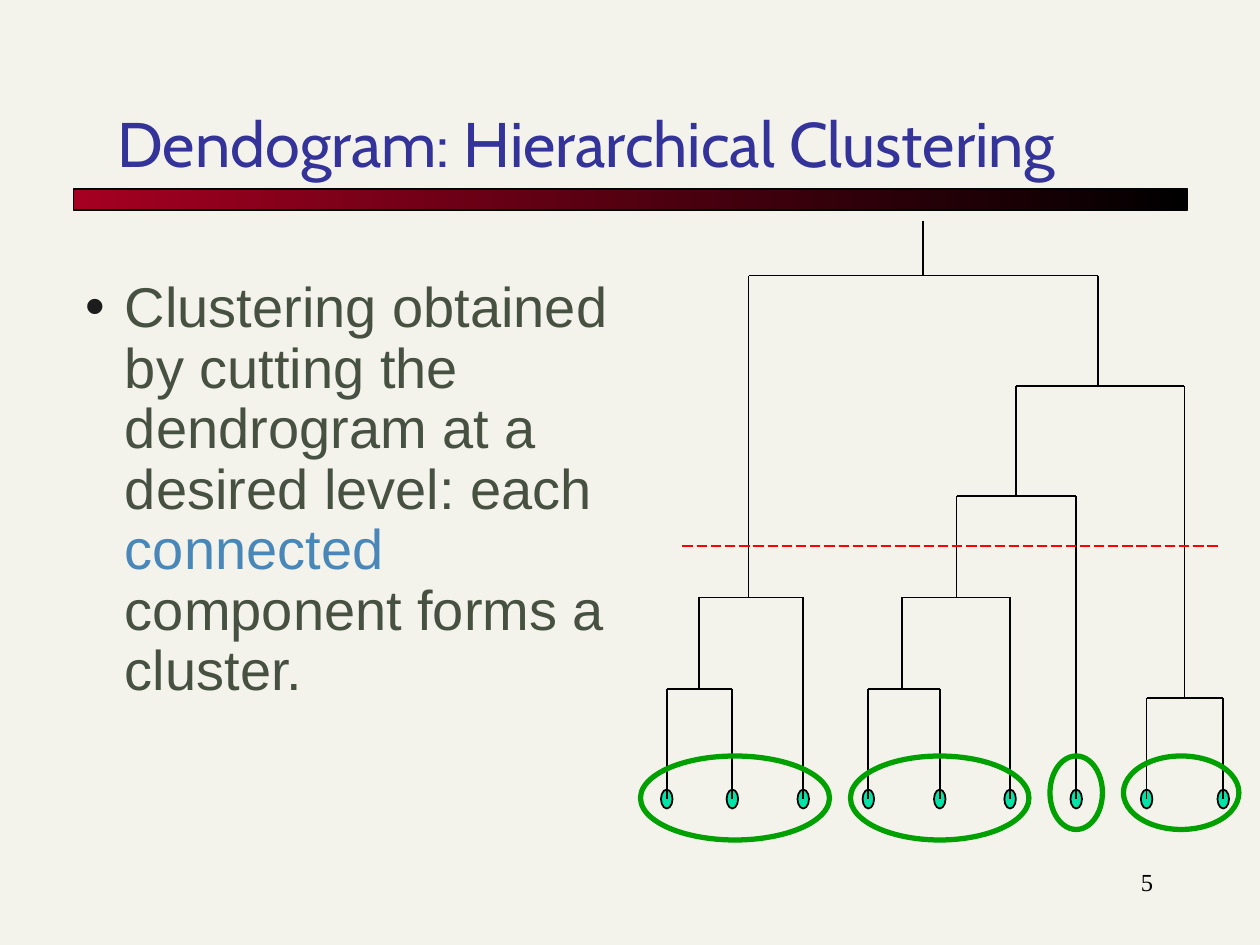
from dataclasses import dataclass
from typing import Optional, Union

from lxml.etree import SubElement
from pptx import Presentation
from pptx.dml.color import RGBColor
from pptx.enum.dml import MSO_LINE
from pptx.enum.shapes import MSO_CONNECTOR, MSO_SHAPE
from pptx.enum.text import MSO_ANCHOR, MSO_AUTO_SIZE, PP_ALIGN
from pptx.oxml.ns import qn
from pptx.util import Emu, Inches, Pt

PAPER = RGBColor(0xF4, 0xF3, 0xEB)
BLACK = RGBColor(0, 0, 0)
CRIMSON = RGBColor(0xA5, 0x00, 0x21)
MINT = RGBColor(0x00, 0xE4, 0xA8)
GREEN = RGBColor(0x00, 0xA0, 0x00)
RED = RGBColor(0xFF, 0, 0)
INDIGO = RGBColor(0x33, 0x33, 0x99)
MOSS = RGBColor(0x46, 0x51, 0x42)
SKY = RGBColor(0x4A, 0x87, 0xB9)

COLUMNS, ROWS = 120, 90
WIDTH, HEIGHT = Inches(10), Inches(7.5)
LEAF_ROW = 76.1


@dataclass(frozen=True)
class Area:
    column: float
    row: float
    columns: float
    rows: float

    def box(self) -> tuple:
        return (across(self.column), down(self.row),
                across(self.columns), down(self.rows))


@dataclass(frozen=True)
class Leaf:
    column: float
    row: float = LEAF_ROW


@dataclass(frozen=True)
class Merge:
    column: float
    row: float
    left: Union["Merge", Leaf]
    right: Union["Merge", Leaf]


TRIPLE_A = Merge(71.3, 56.9, Merge(66.6, 65.6, Leaf(63.5), Leaf(69.75)), Leaf(76.5))
TRIPLE_B = Merge(85.9, 56.9, Merge(85.9, 65.6, Leaf(82.7), Leaf(89.5)), Leaf(96.2))
PAIR = Merge(112.8, 66.5, Leaf(109.2), Leaf(116.5))
WITH_SINGLE = Merge(96.75, 47.25, Merge(91.1, 56.9, TRIPLE_B.left, TRIPLE_B.right),
                    Leaf(102.5))
ROOT = Merge(87.9, 26.25, TRIPLE_A, Merge(104.55, 36.75, WITH_SINGLE, PAIR))
CLUSTERS = [Area(61, 72, 18, 8), Area(81, 72, 17, 8),
            Area(100, 72, 5, 7), Area(107, 72, 11, 7)]


def across(columns: float) -> Emu:
    return Emu(round(WIDTH * columns / COLUMNS))


def down(rows: float) -> Emu:
    return Emu(round(HEIGHT * rows / ROWS))


def add_outline(slide, kind, area: Area, color: RGBColor, weight: float,
                fill: Optional[RGBColor] = None):
    shape = slide.shapes.add_shape(kind, *area.box())
    shape.shadow.inherit = False
    shape.line.color.rgb = color
    shape.line.width = Pt(weight)
    if fill is None:
        shape.fill.background()
    else:
        shape.fill.solid()
        shape.fill.fore_color.rgb = fill
    return shape


def add_line(slide, start: tuple, end: tuple, color: RGBColor = BLACK,
             weight: float = 1):
    line = slide.shapes.add_connector(
        MSO_CONNECTOR.STRAIGHT, across(start[0]), down(start[1]),
        across(end[0]), down(end[1]))
    line.line.color.rgb = color
    line.line.width = Pt(weight)
    SubElement(line._element.spPr, qn("a:effectLst"))
    return line


def leaves(node: Union[Merge, Leaf]) -> list:
    if isinstance(node, Leaf):
        return [node]
    return leaves(node.left) + leaves(node.right)


def draw_branches(slide, node: Union[Merge, Leaf]) -> None:
    if isinstance(node, Leaf):
        return
    add_line(slide, (node.left.column, node.row), (node.right.column, node.row))
    for child in (node.left, node.right):
        add_line(slide, (child.column, node.row), (child.column, child.row))
        draw_branches(slide, child)


def draw_dendrogram(slide) -> None:
    for leaf in leaves(ROOT):
        dot = Area(leaf.column - 0.55, leaf.row - 0.9, 1.1, 1.8)
        add_outline(slide, MSO_SHAPE.OVAL, dot, BLACK, 1, MINT)
    add_line(slide, (ROOT.column, 21), (ROOT.column, ROOT.row))
    draw_branches(slide, ROOT)
    cut = add_line(slide, (65, 52), (116, 52), RED, 0.75)
    cut.line.dash_style = MSO_LINE.LONG_DASH
    for cluster in CLUSTERS:
        add_outline(slide, MSO_SHAPE.OVAL, cluster, GREEN, 3)


def add_run(paragraph, words: str, font: str, size: float, color: RGBColor) -> None:
    run = paragraph.add_run()
    run.text = words
    run.font.name = font
    run.font.size = Pt(size)
    run.font.color.rgb = color


def add_paragraph_box(slide, area: Area):
    frame = slide.shapes.add_textbox(*area.box()).text_frame
    frame.word_wrap = True
    return frame.paragraphs[0]


def add_bullet(paragraph) -> None:
    properties = paragraph._p.get_or_add_pPr()
    properties.set("marL", str(Inches(0.81)))
    properties.set("indent", str(Inches(-0.31)))
    bullet_color = SubElement(properties, qn("a:buClr"))
    SubElement(bullet_color, qn("a:srgbClr")).set("val", "1C1C1C")
    SubElement(properties, qn("a:buFont")).set("typeface", "Arial")
    SubElement(properties, qn("a:buChar")).set("char", "•")


def fill_title(title) -> None:
    title.left, title.top, title.width, title.height = Area(10, 9.6, 103, 8).box()
    frame = title.text_frame
    frame.auto_size = MSO_AUTO_SIZE.NONE
    frame.vertical_anchor = MSO_ANCHOR.MIDDLE
    heading = frame.paragraphs[0]
    heading.alignment = PP_ALIGN.LEFT
    add_run(heading, "Dendogram: Hierarchical Clustering", "Cabin", 36, INDIGO)


def main() -> None:
    """Build the slide on hierarchical clustering."""
    deck = Presentation()
    deck.slide_width, deck.slide_height = WIDTH, HEIGHT
    slide = deck.slides.add_slide(deck.slide_layouts[5])
    slide.background.fill.solid()
    slide.background.fill.fore_color.rgb = PAPER
    fill_title(slide.shapes.title)

    rule = add_outline(slide, MSO_SHAPE.RECTANGLE, Area(7, 18, 106.1, 2), BLACK, 0.75)
    rule.fill.gradient()
    rule.fill.gradient_angle = 0
    for stop, color in zip(rule.fill.gradient_stops, (CRIMSON, BLACK)):
        stop.color.rgb = color

    draw_dendrogram(slide)

    explanation = add_paragraph_box(slide, Area(1, 26, 62, 52))
    explanation.line_spacing = 0.9
    add_bullet(explanation)
    for words, color in (
        ("Clustering obtained by cutting the dendrogram at a desired level: each ", MOSS),
        ("connected", SKY),
        (" component forms a cluster.", MOSS),
    ):
        add_run(explanation, words, "Arial", 32, color)

    page_number = add_paragraph_box(slide, Area(86, 82, 25, 6))
    page_number.alignment = PP_ALIGN.RIGHT
    add_run(page_number, "5", "Times New Roman", 14, BLACK)
    deck.save("out.pptx")


if __name__ == "__main__":
    main()
